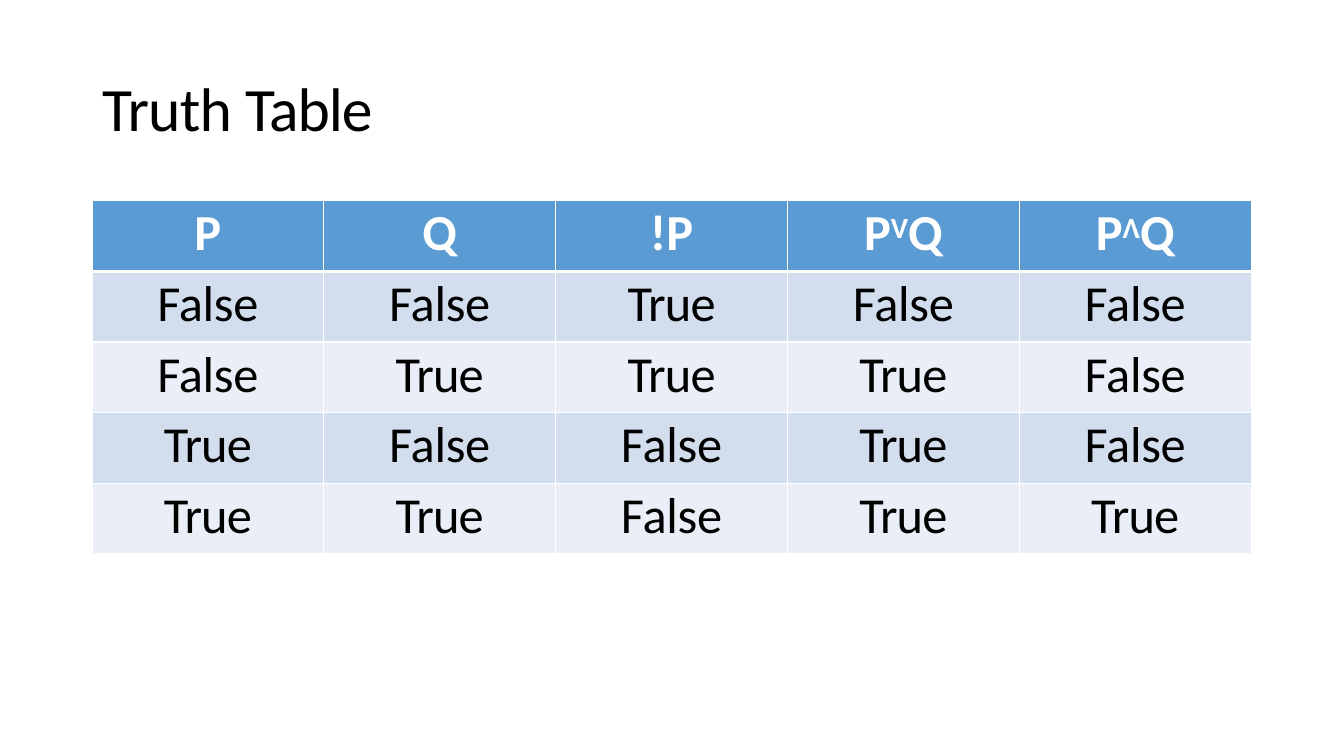
from itertools import product

from lxml import etree
from pptx import Presentation
from pptx.dml.color import RGBColor
from pptx.enum import text
from pptx.oxml.ns import qn
from pptx.util import Pt

COL_W, ROW_H = 165.6, 50.4


def add_text(p, content, size=36, color="000000", bold=False, spacing=0, raised=0):
    """Add a run; spacing is in points, raised is a percentage of the size."""
    r = p.add_run()
    r.text = content
    r.font.name, r.font.size, r.font.bold = "Calibri", Pt(size), bold
    r.font.color.rgb = RGBColor.from_string(color)
    rPr = r.font._element
    rPr.set("spc", str(round(spacing * 100)))
    if raised:
        rPr.set("baseline", str(raised * 1000))


def set_border(cell, side, width):
    tcPr = cell._tc.get_or_add_tcPr()
    ln = etree.SubElement(tcPr, qn("a:ln" + side), w=str(Pt(width)))
    fill = etree.SubElement(ln, qn("a:solidFill"))
    etree.SubElement(fill, qn("a:srgbClr"), val="FFFFFF")


prs = Presentation()
prs.slide_width, prs.slide_height = Pt(960), Pt(540)
s = prs.slides.add_slide(prs.slide_layouts[6])

# Title
title = s.shapes.add_textbox(Pt(72), Pt(48.2), Pt(198.7), Pt(54.7))
tf = title.text_frame
tf.word_wrap = True
tf.vertical_anchor = text.MSO_ANCHOR.MIDDLE
tf.margin_left = tf.margin_right = tf.margin_bottom = 0
tf.margin_top = Pt(1)
p = tf.paragraphs[0]
p.space_before = Pt(1.1)
p._p.get_or_add_pPr().set("marL", str(Pt(1)))
add_text(p, "Truth ", size=44, spacing=-0.6)
add_text(p, "Table", size=44, spacing=-0.8)

# Each cell is a list of (text, spacing, raised) pieces
headings = [
    [("P", 0, 0)],
    [("Q", 0, 0)],
    [("!P", 0, 0)],
    [("P", -0.2, 0), ("V", -0.4, 25), ("Q", -0.2, 0)],
    [("P", 0, 0), ("Λ", 0, 25), ("Q", 0, 0)],
]
rows = [headings]
for P, Q in product([False, True], repeat=2):
    values = [P, Q, not P, P or Q, P and Q]
    rows.append([[(str(v), -0.6 if v else -0.2, 0)] for v in values])

# Table
n_rows, n_cols = len(rows), len(headings)
table = s.shapes.add_table(n_rows, n_cols, Pt(65.7), Pt(143.5),
                           Pt(COL_W * n_cols), Pt(ROW_H * n_rows)).table
for column in table.columns:
    column.width = Pt(COL_W)
for i, row in enumerate(rows):
    table.rows[i].height = Pt(ROW_H)
    header = i == 0
    fill = "5B9BD4" if header else ("EAEEF7", "D2DEEE")[i % 2]
    for j, pieces in enumerate(row):
        cell = table.cell(i, j)
        cell.margin_left = cell.margin_right = cell.margin_bottom = 0
        cell.margin_top = Pt(1.4)
        for side, width in (("L", 1), ("R", 1), ("T", 3 if i == 1 else 1),
                            ("B", 3 if header else 1)):
            set_border(cell, side, width)
        cell.fill.solid()
        cell.fill.fore_color.rgb = RGBColor.from_string(fill)
        p = cell.text_frame.paragraphs[0]
        p.alignment = text.PP_ALIGN.CENTER
        p.space_before = Pt(1.4)
        for content, spacing, raised in pieces:
            add_text(p, content, color="FFFFFF" if header else "000000",
                     bold=header, spacing=spacing, raised=raised)

prs.save("out.pptx")
